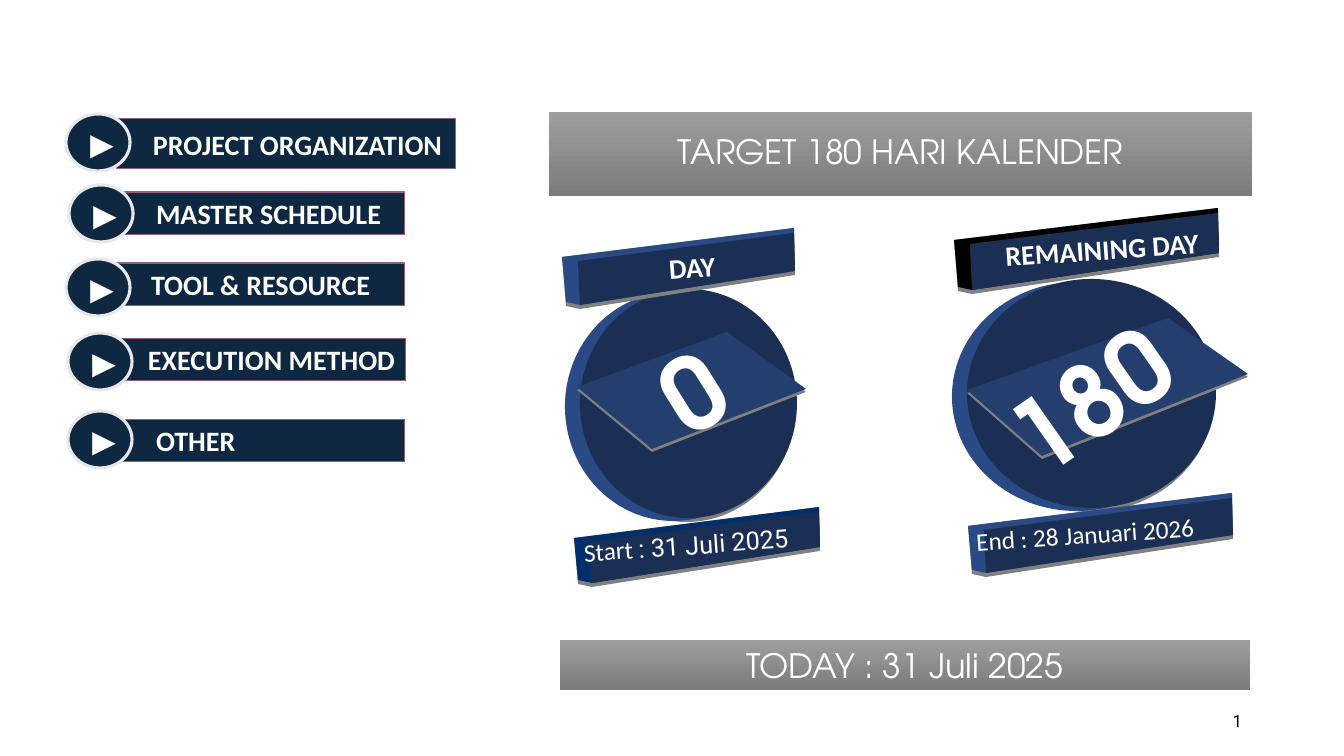
import pptx
import pptx.util
import pptx.dml.color
import pptx.enum.shapes
import pptx.enum.text
import pptx.oxml
import pptx.oxml.ns

PX = 9071
COLORS = {
    "navy": "0E2841", "plum": "96607D", "ring": "E8E8E8", "white": "FFFFFF",
    "black": "000000", "front": "1B2F55", "side": "2A4A85", "plate": "243F6E",
    "deep": "002F6C", "edge": "808080", "light": "9D9D9D", "dark": "7C7C7C",
}
SHAPES = pptx.enum.shapes.MSO_SHAPE
ALIGN = pptx.enum.text.PP_ALIGN


def add_block(kind, bounds, fill, line=None, width=0.75):
    block = page.shapes.add_shape(kind, *[value * PX for value in bounds])
    block.shadow.inherit = False
    block.fill.solid()
    block.fill.fore_color.rgb = pptx.dml.color.RGBColor.from_string(COLORS[fill])
    if line:
        block.line.color.rgb = pptx.dml.color.RGBColor.from_string(COLORS[line])
        block.line.width = pptx.util.Pt(width)
    else:
        block.line.fill.background()
    return block


def write(shape, text, size, font, align, inset=0, bold=False, color="white"):
    frame = shape.text_frame
    frame.text = text
    frame.word_wrap = True
    frame.auto_size = pptx.enum.text.MSO_AUTO_SIZE.NONE
    frame.vertical_anchor = pptx.enum.text.MSO_ANCHOR.MIDDLE
    frame.margin_left = inset * PX
    frame.margin_right = frame.margin_top = frame.margin_bottom = 0
    para = frame.paragraphs[0]
    para.alignment = align
    for span in para.runs:
        span.font.size = pptx.util.Pt(size)
        span.font.name = font
        span.font.bold = bold
        span.font.color.rgb = pptx.dml.color.RGBColor.from_string(COLORS[color])
    return para


deck = pptx.Presentation()
deck.slide_width = 1344 * PX
deck.slide_height = 756 * PX
page = deck.slides.add_slide(deck.slide_layouts[5])

title = page.shapes.title
title.left, title.top, title.width, title.height = [value * PX for value in (549, 112, 703, 84)]
today = add_block(SHAPES.RECTANGLE, (560, 640, 690, 50), "light")
for banner, text in ((title, "TARGET 180 HARI KALENDER"), (today, "TODAY : 31 Juli 2025")):
    banner.fill.gradient()
    banner.fill.gradient_angle = 270
    for stop, name in zip(banner.fill.gradient_stops, ("light", "dark")):
        stop.color.rgb = pptx.dml.color.RGBColor.from_string(COLORS[name])
    write(banner, text, 24, "TeX Gyre Adventor", ALIGN.CENTER)
title.text_frame.paragraphs[0].line_spacing = 0.9

for left, top, width in ((565, 289, 217), (952, 279, 249)):
    for shift, drop, fill in ((13, 4, "edge"), (0, 3, "side"), (15, 0, "front")):
        add_block(SHAPES.OVAL, (left + shift, top + drop, width, 229), fill)

faces = []
for left, top, right, rise, height, side in (
    (562, 257, 794, 29, 49, "side"),
    (954, 240, 1218, 32, 51, "black"),
    (574, 538, 819, 31, 46, "deep"),
    (968, 526, 1232, 33, 48, "side"),
):
    high = top - rise
    low = high + height - 2
    outline = [(left, top), (right, high), (right + 1, low),
               (left + 18, top + height + 3), (left + 4, top + height)]
    faces.append((outline, "edge"))
    faces.append(([(x, y - 4 * (y > top + 9 or y == low)) for x, y in outline], side))
    faces.append(([(left + 16, top + 4), (right, high + 5), (right + 1, low - 4),
                   (left + 18, top + height - 1)], "front"))
for plate in (
    [(577, 387), (727, 332), (806, 389), (652, 449)],
    [(967, 390), (1168, 318), (1248, 374), (1042, 456)],
):
    faces.append(([(x, y + 3) for x, y in plate], "edge"))
    faces.append((plate, "plate"))
for points, fill in faces:
    builder = page.shapes.build_freeform(*points[0], scale=PX)
    builder.add_line_segments(points[1:], close=True)
    face = builder.convert_to_shape()
    face.shadow.inherit = False
    face.fill.solid()
    face.fill.fore_color.rgb = pptx.dml.color.RGBColor.from_string(COLORS[fill])
    face.line.fill.background()

for text, x, y, width, height, angle, size, font, bold in (
    ("DAY", 692, 267, 200, 36, -4, 20, "Calibri", True),
    ("REMAINING DAY", 1102, 249, 240, 36, -4, 20, "Calibri", True),
    ("0", 692, 390, 120, 120, -32, 72, "TeX Gyre Adventor", True),
    ("180", 1090, 398, 240, 120, -35, 72, "TeX Gyre Adventor", True),
    ("Start : 31 Juli 2025", 686, 545, 240, 36, -4, 18, "Calibri", False),
    ("End : 28 Januari 2026", 1085, 534, 250, 36, -4, 18, "Calibri", False),
):
    label = page.shapes.add_textbox(
        (x - width // 2) * PX, (y - height // 2) * PX, width * PX, height * PX)
    label.rotation = angle
    para = write(label, text, size, font, ALIGN.CENTER, bold=bold)
    if text.startswith("Start"):
        para.runs[0].text = "Start "
        date = para.add_run()
        date.text = ": 31 Juli 2025"
        date.font.size = pptx.util.Pt(size)
        date.font.name = "Roboto"
        date.font.color.rgb = pptx.dml.color.RGBColor.from_string(COLORS["white"])

for text, left, top, width, height, start, ring_left, ring_top in (
    ("PROJECT ORGANIZATION", 117, 119, 339, 50, 153, 66, 114),
    ("MASTER SCHEDULE", 120, 192, 285, 43, 156, 69, 185),
    ("TOOL & RESOURCE", 115, 263, 290, 43, 151, 66, 259),
    ("EXECUTION METHOD", 112, 338, 294, 43, 148, 68, 333),
    ("OTHER", 120, 419, 285, 43, 156, 68, 411),
):
    bar = add_block(SHAPES.RECTANGLE, (left, top, width, height), "navy", "plum")
    write(bar, text, 20, "Calibri", ALIGN.LEFT, start - left, True)
    ring = add_block(SHAPES.OVAL, (ring_left, ring_top, 64, 57), "navy", "ring", 2.25)
    write(ring, "►", 28, "Arial", ALIGN.CENTER, 8, True)
    ring.text_frame.word_wrap = False

number = page.shapes.add_textbox(950 * PX, 701 * PX, 292 * PX, 40 * PX)
para = write(number, "2", 12, "Roboto", ALIGN.RIGHT, color="black")
run = para.runs[0]._r
field = pptx.oxml.parse_xml(
    '<a:fld %s id="{B6F15528-21DE-4FAA-801E-634DDDAF4B2B}" type="slidenum"/>'
    % pptx.oxml.ns.nsdecls("a"))
run.addprevious(field)
for child in list(run):
    field.append(child)
run.getparent().remove(run)

deck.save("out.pptx")
